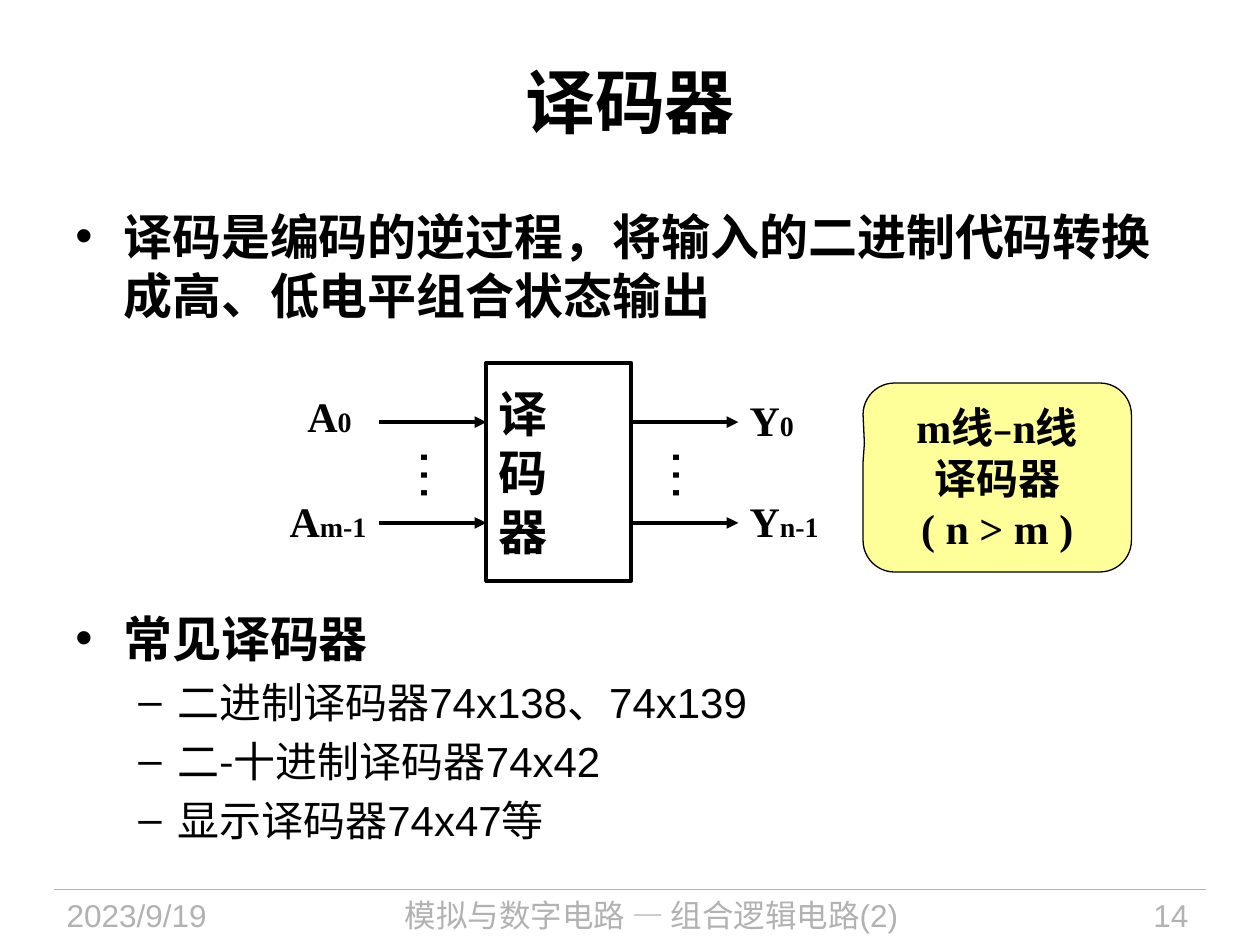
from pptx import Presentation
from pptx.dml.color import RGBColor
from pptx.enum.shapes import MSO_CONNECTOR as CONN, MSO_SHAPE as SHAPE
from pptx.enum.text import MSO_ANCHOR as ANCHOR, PP_ALIGN as ALIGN
from pptx.oxml.ns import qn
from pptx.util import Inches, Pt
from lxml.etree import SubElement

THEME = dict(
    black="000000", gray="B2B2B2", yellow="FFFF99",
    sans="Arial", serif="Times New Roman", cjk="Noto Sans CJK KR",
    title=40, dots=32, body=28, label=24, dash=20, footer=18, sub=16,
    thin=0.75, thick=2.25,
)

TITLE = "译码器"
INTRO = "译码是编码的逆过程，将输入的二进制代码转换成高、低电平组合状态输出"
COMMON = "常见译码器"
EXAMPLES = [
    "二进制译码器74x138、74x139",
    ["二", ("-", dict(font=THEME["cjk"])), "十进制译码器74x42"],
    "显示译码器74x47等",
]
FOOTER = [
    ("2023/9/19", (0.43, 7.06, 1.88, 0.44), ALIGN.LEFT),
    ("模拟与数字电路 — 组合逻辑电路(2)", (2.49, 7.06, 5.36, 0.44), ALIGN.CENTER),
    ("14", (8.2, 7.06, 1.33, 0.44), ALIGN.RIGHT),
]
DECODER = ["译", "码", "器"]
DECODER_BOX = (3.86, 2.88, 1.15, 1.73)
SIGNALS = [
    ("A", "0", (2.34, 3.05, 0.55, 0.5)),
    ("A", "m-1", (2.2, 3.88, 0.81, 0.5)),
    ("Y", "0", (5.85, 3.08, 0.55, 0.5)),
    ("Y", "n-1", (5.85, 3.88, 0.75, 0.5)),
]
ARROW_ROWS = [3.35, 4.15]
ARROW_SPAN = 0.85
DOTS_LEFT = [3.26, 5.26]
NOTE = [
    ["m线", ("–", dict(font=THEME["sans"], size=THEME["dash"])), "n线"],
    "译码器",
    "( n > m )",
]


def rgb(name):
    return RGBColor.from_string(THEME[name])


def write(s, text, size="body", font="sans", color="black", bold=False,
          align=ALIGN.LEFT, anchor=ANCHOR.TOP, wrap=True, insets=None,
          vertical=False, bullets=None):
    tf = s.text_frame
    tf.word_wrap = wrap
    tf.vertical_anchor = anchor
    if insets is not None:
        tf.margin_left = tf.margin_right = Inches(insets[0])
        tf.margin_top = tf.margin_bottom = Inches(insets[1])
    if vertical:
        tf._txBody.bodyPr.set("vert", "eaVert")
    paragraphs = text if isinstance(text, list) else [text]
    for i, content in enumerate(paragraphs):
        p = tf.paragraphs[0] if i == 0 else tf.add_paragraph()
        p.alignment = align
        level = bullets[i] if bullets else None
        for part in content if isinstance(content, list) else [content]:
            words, style = part if isinstance(part, tuple) else (part, {})
            r = p.add_run()
            r.text = words
            r.font.name = style.get("font", THEME[font])
            r.font.size = Pt(style.get("size", THEME["label" if level else size]))
            r.font.bold = bold and not level
            r.font.color.rgb = rgb(color)
        if level is not None:
            p.space_after = Pt(5)
            indent, hang, mark = [(0.38, 0.38, "•"), (0.81, 0.31, "–")][level]
            pPr = p._p.get_or_add_pPr()
            pPr.set("marL", str(Inches(indent)))
            pPr.set("indent", str(-Inches(hang)))
            SubElement(pPr, qn("a:buFont")).set("typeface", THEME["sans"])
            SubElement(pPr, qn("a:buChar")).set("char", mark)


def add_text(slide, text, box, **fmt):
    write(slide.shapes.add_textbox(*map(Inches, box)), text, **fmt)


def add_box(slide, kind, box, text, fill=None, line="thin", adjust=(), **fmt):
    s = slide.shapes.add_shape(kind, *map(Inches, box))
    s.shadow.inherit = False
    for i, value in enumerate(adjust):
        s.adjustments[i] = value
    if fill:
        s.fill.solid()
        s.fill.fore_color.rgb = rgb(fill)
    else:
        s.fill.background()
    s.line.color.rgb = rgb("black")
    s.line.width = Pt(THEME[line])
    write(s, text, anchor=ANCHOR.MIDDLE, wrap=False, bold=True, **fmt)


def add_line(slide, x1, x2, y, color="black", width="thick", arrow=True):
    c = slide.shapes.add_connector(CONN.STRAIGHT, *map(Inches, (x1, y, x2, y)))
    c.line.color.rgb = rgb(color)
    c.line.width = Pt(THEME[width])
    if arrow:
        SubElement(c.line._get_or_add_ln(), qn("a:tailEnd")).set("type", "triangle")
    SubElement(c._element.spPr, qn("a:effectLst"))


def main():
    prs = Presentation()
    prs.slide_width, prs.slide_height = Inches(10), Inches(7.5)
    slide = prs.slides.add_slide(prs.slide_layouts[6])

    add_line(slide, 0.43, 9.57, 7.06, color="gray", width="thin", arrow=False)
    for text, box, align in FOOTER:
        add_text(slide, text, box, size="footer", color="gray", align=align)

    add_text(slide, TITLE, (0.5, 0.17, 9, 1.25), size="title", bold=True,
             align=ALIGN.CENTER, anchor=ANCHOR.MIDDLE)
    add_text(slide, INTRO, (0.5, 1.59, 9, 1.1), bold=True, bullets=[0])
    add_text(slide, [COMMON] + EXAMPLES, (0.5, 4.78, 9, 2.2), bold=True,
             bullets=[0] + [1] * len(EXAMPLES))

    add_box(slide, SHAPE.ROUNDED_RECTANGULAR_CALLOUT, (6.85, 3.04, 2.13, 1.5), NOTE,
            fill="yellow", adjust=(-0.495, -0.181, 0.167),
            size="label", font="serif", align=ALIGN.CENTER)
    add_box(slide, SHAPE.RECTANGLE, DECODER_BOX, DECODER, line="thick", insets=(0.1, 0))

    left, _, width, _ = DECODER_BOX
    for y in ARROW_ROWS:
        for x in (left - ARROW_SPAN, left + width):
            add_line(slide, x, x + ARROW_SPAN, y)
    for x in DOTS_LEFT:
        add_text(slide, "…", (x, 3.55, 0.53, 0.44), size="dots", align=ALIGN.CENTER,
                 wrap=False, insets=(0, 0), vertical=True)
    for name, index, box in SIGNALS:
        add_text(slide, [[name, (index, dict(size=THEME["sub"]))]], box,
                 size="label", font="serif", bold=True, wrap=False)

    prs.save("out.pptx")


if __name__ == "__main__":
    main()
